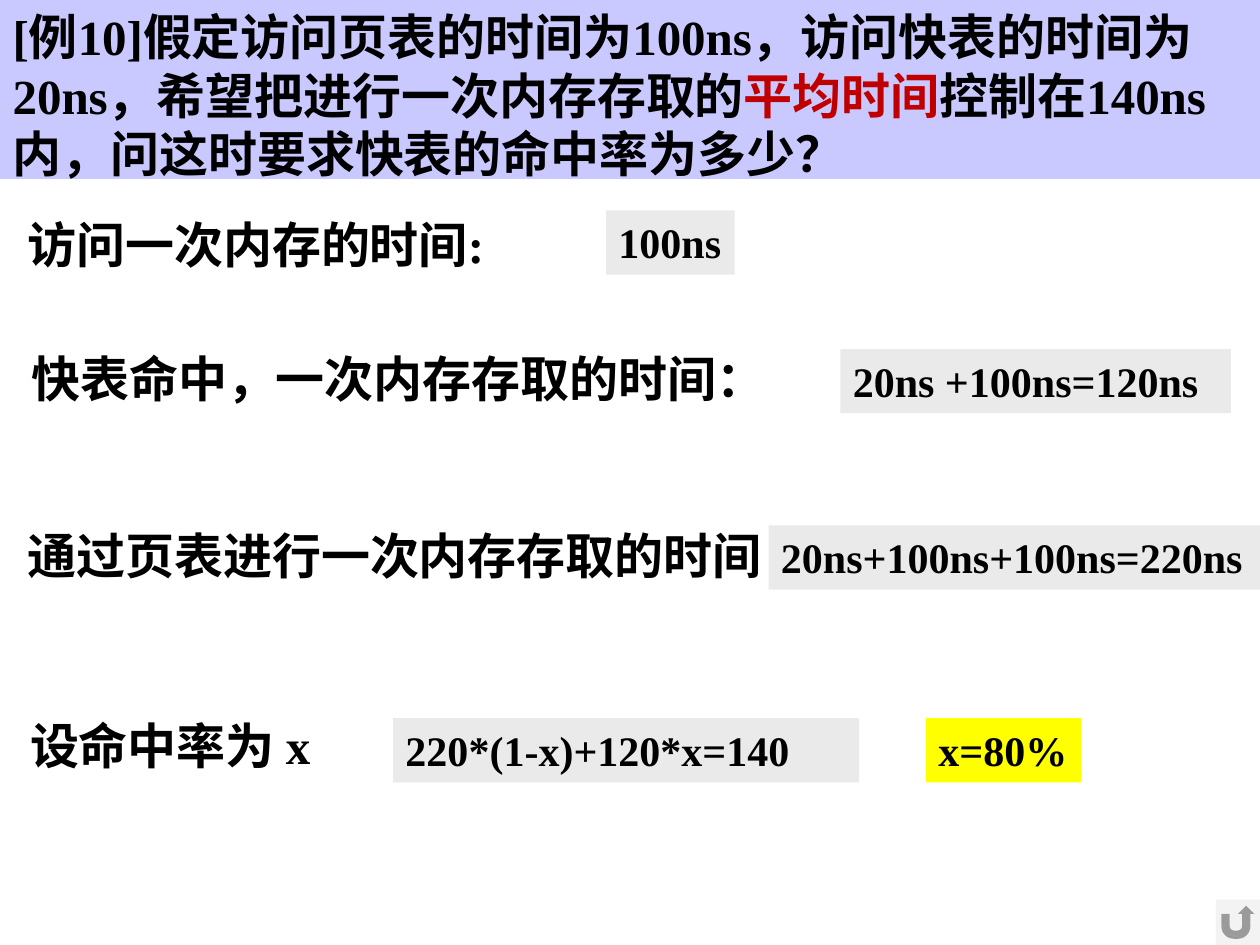
from lxml import etree
from pptx import Presentation
from pptx.dml.color import RGBColor
from pptx.enum import shapes, text
from pptx.oxml.ns import qn
from pptx.util import Inches, Pt

COLORS = {"ink": "000000", "key": "C00000", "question": "C9C9FF",
          "answer": "EAEAEA", "result": "FFFF00", "button": "F2F2F2"}
FONT = "Times New Roman"

QUESTION = [
    ("[例10]假定访问页表的时间为100ns，访问快表的时间为20ns，希望把进行一次内存存取的", "ink"),
    ("平均时间", "key"),
    ("控制在140ns内，问这时要求快表的命中率为多少？", "ink"),
]
# Text, left, top, width
STEPS = [
    ("访问一次内存的时间:", 0.12, 1.65, 4.33),
    ("通过页表进行一次内存存取的时间", 0.12, 4.12, 6.41),
    ("快表命中，一次内存存取的时间：", 0.15, 2.72, 6.38),
    ("设命中率为 x", 0.14, 5.63, 2.57),
]
# Text, left, top, width, fill
ANSWERS = [
    ("100ns", 4.81, 1.67, 1.02, "answer"),
    ("20ns+100ns+100ns=220ns", 6.1, 4.17, 3.9, "answer"),
    ("20ns +100ns=120ns", 6.67, 2.77, 3.1, "answer"),
    ("x=80%", 7.35, 5.7, 1.23, "result"),
    ("220*(1-x)+120*x=140", 3.12, 5.7, 3.7, "answer"),
]
STEP_HEIGHT, ANSWER_HEIGHT = 0.57, 0.51


def rgb(name):
    return RGBColor.from_string(COLORS[name])


def paint(shape, color):
    shape.fill.solid()
    shape.fill.fore_color.rgb = rgb(color)


def write(shape, runs, size):
    """Fill the shape with one left-aligned paragraph of (text, colour) runs."""
    frame = shape.text_frame
    frame.word_wrap = True
    frame.auto_size = text.MSO_AUTO_SIZE.NONE
    frame.vertical_anchor = text.MSO_ANCHOR.TOP
    paragraph = frame.paragraphs[0]
    paragraph.alignment = text.PP_ALIGN.LEFT
    for words, color in runs:
        run = paragraph.add_run()
        run.text = words
        run.font.name = FONT
        run.font.size = Pt(size)
        run.font.bold = True
        run.font.color.rgb = rgb(color)


def add_block(slide, kind, left, top, width, height, fill):
    block = slide.shapes.add_shape(kind, Inches(left), Inches(top), Inches(width), Inches(height))
    block.shadow.inherit = False
    block.line.fill.background()
    paint(block, fill)
    return block


def main():
    deck = Presentation()
    deck.slide_width, deck.slide_height = Inches(10), Inches(7.5)
    slide = deck.slides.add_slide(deck.slide_layouts[5])

    question = slide.shapes.title
    question.left, question.top = Inches(0), Inches(0)
    question.width, question.height = Inches(10), Inches(1.42)
    paint(question, "question")
    write(question, QUESTION, size=28)

    for words, left, top, width in STEPS:
        step = slide.shapes.add_textbox(Inches(left), Inches(top), Inches(width), Inches(STEP_HEIGHT))
        write(step, [(words, "ink")], size=28)

    for words, left, top, width, fill in ANSWERS:
        answer = add_block(slide, shapes.MSO_SHAPE.RECTANGLE, left, top, width, ANSWER_HEIGHT, fill)
        write(answer, [(words, "ink")], size=24)

    button = add_block(slide, shapes.MSO_SHAPE.ACTION_BUTTON_RETURN, 9.65, 7.14, 0.35, 0.36, "button")
    button_color = button.fill._xPr.find(qn("a:solidFill"))[0]
    etree.SubElement(button_color, qn("a:alpha"), val="90000")

    deck.save("out.pptx")


if __name__ == "__main__":
    main()
